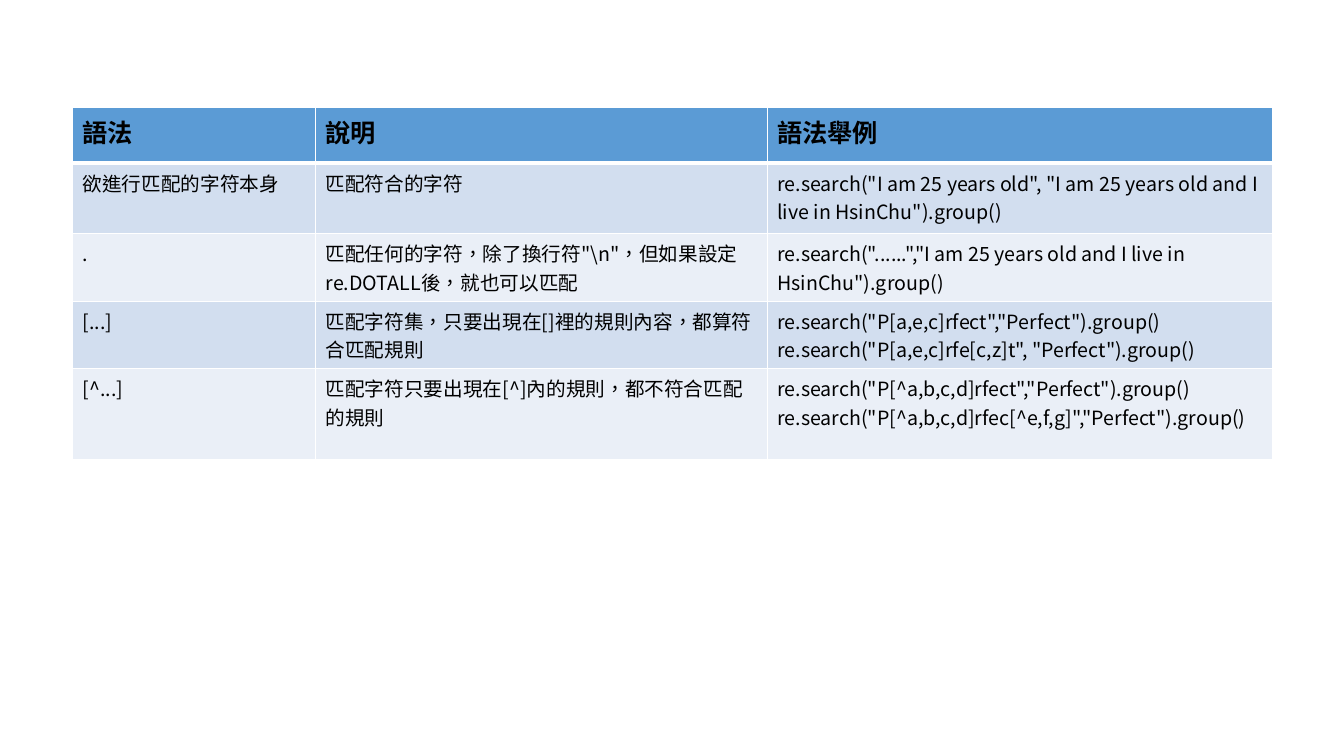
from dataclasses import dataclass

from lxml.etree import SubElement
from pptx import Presentation
from pptx.dml.color import RGBColor
from pptx.enum.lang import MSO_LANGUAGE_ID
from pptx.oxml.ns import qn
from pptx.util import Inches, Pt


@dataclass(frozen=True)
class Theme:
    font: str = "Noto Sans CJK SC"
    text: str = "000000"
    header: str = "5B9BD5"
    bands: tuple = ("D2DEEF", "EAEFF7")
    border: str = "FFFFFF"
    header_size: int = 18
    body_size: int = 14
    thin: int = 1
    thick: int = 3


THEME = Theme()
COLUMN_WIDTHS = (2.41, 4.48, 5.01)
ROW_HEIGHTS = (0.55, 0.7, 0.67, 0.67, 0.9)
SYNTAX_ROWS = (
    ("語法", "說明", "語法舉例"),
    (
        "欲進行匹配的字符本身",
        "匹配符合的字符",
        're.search("I am 25 years old", "I am 25 years old and I live in HsinChu").group()',
    ),
    (
        ".",
        '匹配任何的字符，除了換行符"\\n"，但如果設定re.DOTALL後，就也可以匹配',
        're.search("......","I am 25 years old and I live in HsinChu").group()',
    ),
    (
        "[...]",
        "匹配字符集，只要出現在[]裡的規則內容，都算符合匹配規則",
        're.search("P[a,e,c]rfect","Perfect").group()\n'
        're.search("P[a,e,c]rfe[c,z]t", "Perfect").group()',
    ),
    (
        "[^...]",
        "匹配字符只要出現在[^]內的規則，都不符合匹配的規則",
        're.search("P[^a,b,c,d]rfect","Perfect").group()\n'
        're.search("P[^a,b,c,d]rfec[^e,f,g]","Perfect").group()',
    ),
)


def set_borders(cell, top, bottom):
    properties = cell._tc.get_or_add_tcPr()
    widths = {"lnL": THEME.thin, "lnR": THEME.thin, "lnT": top, "lnB": bottom}
    for position, (edge, width) in enumerate(widths.items()):
        line = SubElement(properties, qn(f"a:{edge}"), w=str(Pt(width)))
        fill = SubElement(line, qn("a:solidFill"))
        SubElement(fill, qn("a:srgbClr"), val=THEME.border)
        properties.insert(position, line)


def format_span(span, size, bold):
    span.font.name = THEME.font
    span.font.size = Pt(size)
    span.font.bold = bold
    span.font.color.rgb = RGBColor.from_string(THEME.text)
    span.font.language_id = MSO_LANGUAGE_ID.TRADITIONAL_CHINESE
    properties = span.font._element
    SubElement(properties, qn("a:ea"), typeface=THEME.font)


def fill_cell(cell, text, row):
    is_header = row == 0
    color = THEME.header if is_header else THEME.bands[(row - 1) % 2]
    cell.fill.solid()
    cell.fill.fore_color.rgb = RGBColor.from_string(color)
    set_borders(
        cell,
        THEME.thick if row == 1 else THEME.thin,
        THEME.thick if is_header else THEME.thin,
    )
    cell.text_frame.text = text
    size = THEME.header_size if is_header else THEME.body_size
    for para in cell.text_frame.paragraphs:
        for span in para.runs:
            format_span(span, size, is_header)


def add_syntax_table(page, left, top, width, height):
    frame = page.shapes.add_table(
        len(SYNTAX_ROWS), len(COLUMN_WIDTHS), left, top, width, height
    )
    table = frame.table
    for column, share in zip(table.columns, COLUMN_WIDTHS):
        column.width = int(width * share / sum(COLUMN_WIDTHS))
    for row, share in zip(table.rows, ROW_HEIGHTS):
        row.height = int(height * share / sum(ROW_HEIGHTS))
    for row, texts in enumerate(SYNTAX_ROWS):
        for column, text in enumerate(texts):
            fill_cell(table.cell(row, column), text, row)


def main():
    deck = Presentation()
    deck.slide_width = Inches(13.33)
    deck.slide_height = Inches(7.5)
    page = deck.slides.add_slide(deck.slide_layouts[6])
    add_syntax_table(
        page,
        Inches(0.72),
        Inches(1.07),
        Inches(sum(COLUMN_WIDTHS)),
        Inches(sum(ROW_HEIGHTS)),
    )
    deck.save("out.pptx")


if __name__ == "__main__":
    main()
